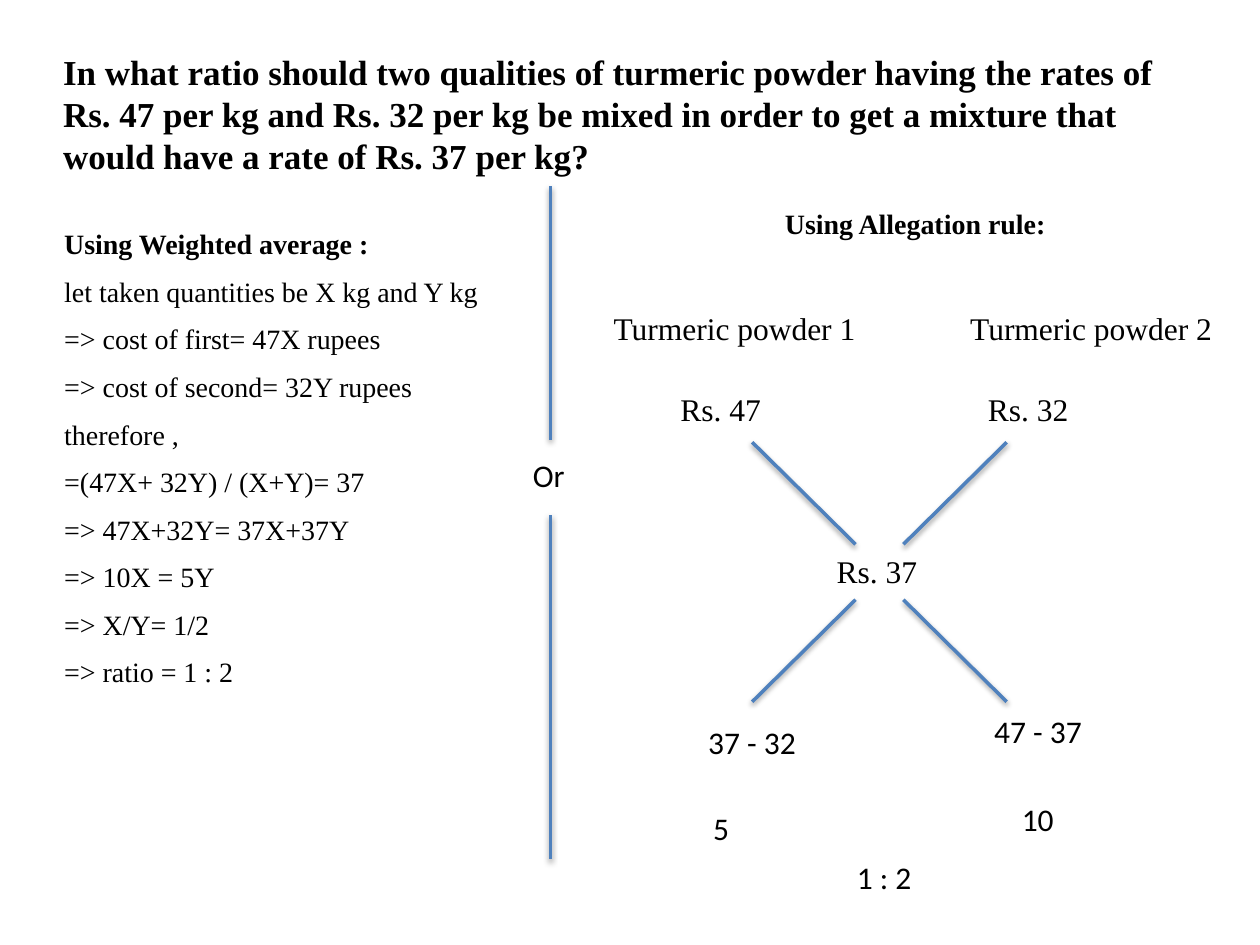
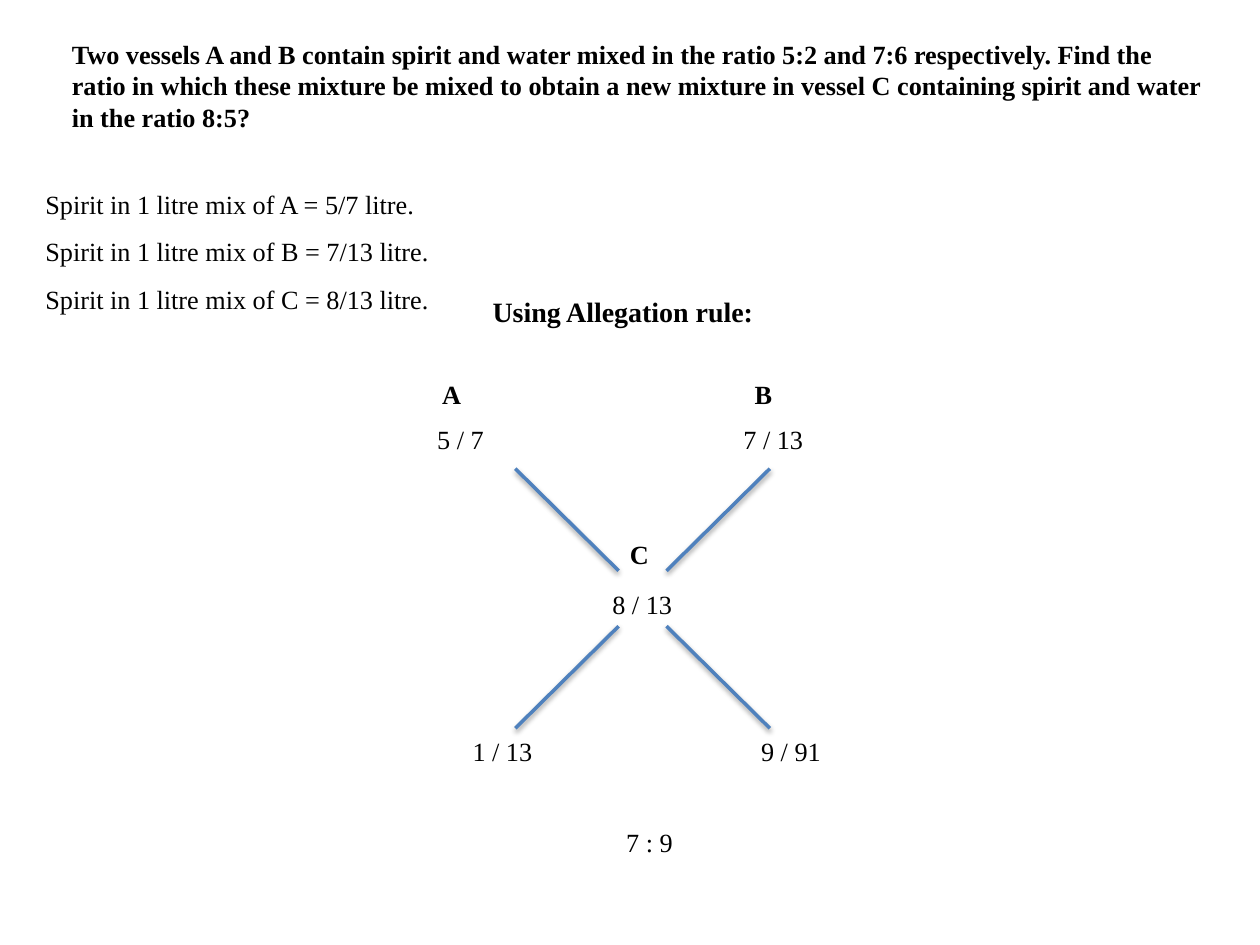
from dataclasses import dataclass
from itertools import product

from lxml import etree
from pptx import Presentation
from pptx.dml.color import RGBColor
from pptx.enum.shapes import MSO_CONNECTOR
from pptx.enum.text import MSO_ANCHOR, MSO_AUTO_SIZE, PP_ALIGN
from pptx.oxml.ns import qn
from pptx.util import Inches, Pt

STRAIGHT = MSO_CONNECTOR.STRAIGHT
TOP = MSO_ANCHOR.TOP
NO_AUTOFIT = MSO_AUTO_SIZE.NONE
LEFT = PP_ALIGN.LEFT

# Grid of square cells over the slide
COLUMNS, ROWS = 100, 75
TITLE_AND_CONTENT = 1


@dataclass(frozen=True)
class Theme:
    serif: str = "Times New Roman"
    sans: str = "Calibri"
    text: RGBColor = RGBColor(0x00, 0x00, 0x00)
    line: RGBColor = RGBColor(0x4F, 0x81, 0xBD)
    line_width: float = 2
    question: int = 20
    label: int = 18
    heading: int = 16
    small: int = 15
    list_gap: int = 8
    inset: float = 0.5


class Deck:
    """Holds the theme and the current slide; lengths are grid cells."""

    def __init__(self, theme):
        self.theme = theme
        self.presentation = Presentation()
        self.presentation.slide_width = Inches(10)
        self.presentation.slide_height = Inches(7.5)
        self.slide = None

    def x(self, columns):
        return round(self.presentation.slide_width * columns / COLUMNS)

    def y(self, rows):
        return round(self.presentation.slide_height * rows / ROWS)

    def new_slide(self):
        layout = self.presentation.slide_layouts[TITLE_AND_CONTENT]
        self.slide = self.presentation.slides.add_slide(layout)

    def place(self, shape, left, top, width, height):
        shape.left, shape.top = self.x(left), self.y(top)
        shape.width, shape.height = self.x(width), self.y(height)

    def frame(self, shape, wrap, inset):
        text_frame = shape.text_frame
        text_frame.auto_size = NO_AUTOFIT
        text_frame.word_wrap = wrap
        text_frame.vertical_anchor = TOP
        text_frame.margin_left = text_frame.margin_right = self.x(inset)
        text_frame.margin_top = text_frame.margin_bottom = self.y(inset)
        return text_frame

    def format(self, paragraph, size, bold=False, font=None):
        paragraph.alignment = LEFT
        paragraph.font.name = font or self.theme.serif
        paragraph.font.size = Pt(size)
        paragraph.font.bold = bold
        paragraph.font.color.rgb = self.theme.text

    def title(self, text, area, size):
        shape = self.slide.shapes.title
        self.place(shape, *area)
        text_frame = self.frame(shape, True, self.theme.inset)
        text_frame.text = text
        self.format(text_frame.paragraphs[0], size, bold=True)

    def body(self, lines, area, size, gap=0, spacing=1.0, inset=0,
             bold_first=False):
        shape = self.slide.placeholders[1]
        self.place(shape, *area)
        text_frame = self.frame(shape, True, inset)
        text_frame.text = "\n".join(lines)
        for index, paragraph in enumerate(text_frame.paragraphs):
            # Plain lines: no bullet, no hanging indent
            properties = paragraph._p.get_or_add_pPr()
            properties.set("marL", "0")
            properties.set("indent", "0")
            etree.SubElement(properties, qn("a:buNone"))
            paragraph.space_before = Pt(gap if index else 0)
            paragraph.line_spacing = spacing
            self.format(paragraph, size, bold=bold_first and index == 0)

    def label(self, text, left, top, width, size, bold=False, font=None):
        shape = self.slide.shapes.add_textbox(0, 0, 0, 0)
        self.place(shape, left, top, width, size / 5)
        text_frame = self.frame(shape, False, self.theme.inset)
        text_frame.text = text
        self.format(text_frame.paragraphs[0], size, bold, font)

    def heading(self, text, left, top):
        self.label(text, left, top, 22.4, self.theme.heading, bold=True)

    def line(self, start_x, start_y, end_x, end_y):
        # The connector keeps the soft shadow of the theme
        connector = self.slide.shapes.add_connector(
            STRAIGHT, self.x(start_x), self.y(start_y),
            self.x(end_x), self.y(end_y))
        connector.line.color.rgb = self.theme.line
        connector.line.width = Pt(self.theme.line_width)

    def cross(self, center_x, center_y):
        """Four diagonal arms around a gap for the mean value."""
        for side_x, side_y in product((-1, 1), repeat=2):
            self.line(center_x + 1.9 * side_x, center_y + 2.2 * side_y,
                      center_x + 10.1 * side_x, center_y + 10.3 * side_y)


def build_turmeric_slide(deck):
    theme = deck.theme
    deck.new_slide()
    deck.title(
        "In what ratio should two qualities of turmeric powder having the "
        "rates of Rs. 47 per kg and Rs. 32 per kg be mixed in order to get a "
        "mixture that would have a rate of Rs. 37 per kg?",
        (4.5, 3.5, 91, 10.5), theme.question)

    # Weighted average on the left
    deck.body(
        ["Using Weighted average :",
         "let taken quantities be X kg and Y kg",
         "=> cost of first= 47X rupees",
         "=> cost of second= 32Y rupees",
         "therefore ,",
         "=(47X+ 32Y) / (X+Y)= 37",
         "=> 47X+32Y= 37X+37Y",
         "=> 10X = 5Y",
         "=> X/Y= 1/2",
         "=> ratio = 1 : 2"],
        (4.6, 17.5, 36, 39.5), theme.heading, gap=theme.list_gap,
        inset=theme.inset, bold_first=True)

    # Divider
    for top, bottom in ((14.8, 34.9), (40.9, 68.2)):
        deck.line(43.7, top, 43.7, bottom)
    deck.label("Or", 41.8, 35.7, 3.7, theme.label, font=theme.sans)

    # Allegation diagram on the right
    deck.heading("Using Allegation rule:", 61.8, 15.9)
    deck.cross(69.8, 45.4)
    for text, left, top, width in (
            ("Turmeric powder 1", 48.2, 24, 20.3),
            ("Turmeric powder 2", 76.5, 24, 20.3),
            ("Rs. 47", 53.5, 30.5, 7.5),
            ("Rs. 32", 77.9, 30.5, 7.5),
            ("Rs. 37", 65.9, 43.3, 7.5)):
        deck.label(text, left, top, width, theme.label)
    for text, left, top, width in (
            ("37 - 32", 55.7, 56.9, 8.1),
            ("47 - 37", 78.4, 56, 8.1),
            ("5", 56.1, 63.7, 2.4),
            ("10", 80.6, 63, 3.7),
            ("1 : 2", 67.5, 67.6, 5.5)):
        deck.label(text, left, top, width, theme.label, font=theme.sans)


def build_vessels_slide(deck):
    theme = deck.theme
    deck.new_slide()
    deck.title(
        "Two vessels A and B contain spirit and water mixed in the ratio 5:2 "
        "and 7:6 respectively. Find the ratio in which these mixture be mixed "
        "to obtain a new mixture in vessel C containing spirit and water in "
        "the ratio 8:5?",
        (5.2, 2.5, 91, 8), theme.small)
    deck.body(
        [f"Spirit in 1 litre mix of {vessel} = {share} litre."
         for vessel, share in (("A", "5/7"), ("B", "7/13"), ("C", "8/13"))],
        (3.6, 13.7, 39.1, 12.8), theme.small, spacing=1.5)

    # Allegation diagram
    deck.heading("Using Allegation rule:", 38.6, 22.9)
    deck.cross(51, 47.5)
    for vessel, left, top in (("A", 34.6, 29.5), ("B", 59.4, 29.5),
                              ("C", 49.5, 42.2)):
        deck.label(vessel, left, top, 2.6, theme.small, bold=True)
    for text, left, top, width in (
            ("5 / 7", 34.2, 33.1, 4.8),
            ("7 / 13", 58.5, 33.1, 5.9),
            ("8 / 13", 48.1, 46.2, 5.9),
            ("1 / 13", 37, 57.9, 5.9),
            ("9 / 91", 59.9, 57.9, 5.9),
            ("7 : 9", 49.2, 65.1, 4.8)):
        deck.label(text, left, top, width, theme.small)


def main():
    deck = Deck(Theme())
    build_turmeric_slide(deck)
    build_vessels_slide(deck)
    deck.presentation.save("out.pptx")


if __name__ == "__main__":
    main()
